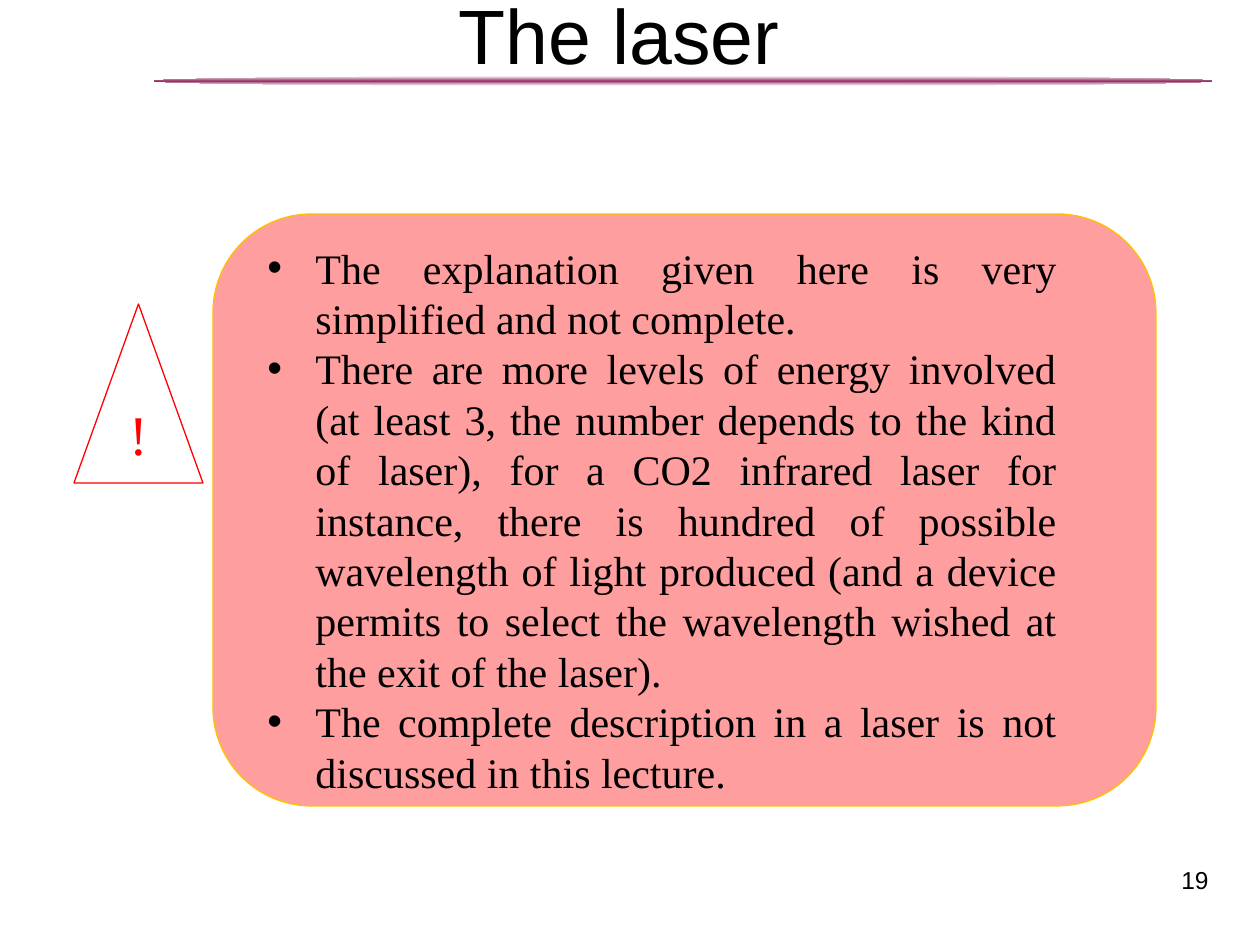
from lxml import etree
from pptx import Presentation, util as u
from pptx.dml.color import RGBColor
from pptx.enum import shapes, text
from pptx.oxml import ns

PX_PER_INCH = 126
BLACK = RGBColor(0, 0, 0)
WHITE = RGBColor(255, 255, 255)
RED = RGBColor(255, 0, 0)
GOLD = RGBColor(255, 192, 0)
PLUM = RGBColor(0x99, 0x33, 0x66)

CAVEATS = [
    "The explanation given here is very simplified and not complete. ",
    "There are more levels of energy involved (at least 3, the number depends "
    "to the kind of laser), for a CO2 infrared laser for instance, there is "
    "hundred of possible wavelength of light produced (and a device permits to "
    "select the wavelength wished at the exit of the laser).",
    "The complete description in a laser is not discussed in this lecture. ",
]


def px(n):
    return u.Emu(round(n * u.Inches(1) / PX_PER_INCH))


def add_outline(slide, kind, box, line=None):
    """Add an unfilled preset shape without shadow."""
    shape = slide.shapes.add_shape(kind, *map(px, box))
    shape.shadow.inherit = False
    shape.fill.background()
    if line is None:
        shape.line.fill.background()
    else:
        shape.line.color.rgb = line
        shape.line.width = u.Pt(0.75)
    return shape


def add_text(slide, box, paragraphs, font, size, color, align, wrap=True):
    frame = slide.shapes.add_textbox(*map(px, box)).text_frame
    frame.word_wrap = wrap
    frame.text = "\n".join(paragraphs)
    for paragraph in frame.paragraphs:
        paragraph.alignment = align
        for run in paragraph.runs:
            run.font.name = font
            run.font.size = u.Pt(size)
            run.font.color.rgb = color
    return frame


def add_bullet(paragraph, indent):
    props = paragraph._p.get_or_add_pPr()
    props.set("marL", str(indent))
    props.set("indent", str(-indent))
    etree.SubElement(props, ns.qn("a:buFont")).set("typeface", "Arial")
    etree.SubElement(props, ns.qn("a:buChar")).set("char", "•")


def header(slide, left, top, width, height):
    rule = add_outline(slide, shapes.MSO_SHAPE.OVAL,
                       (left + 154, top + 102, width - 76, 10))
    rule.fill.gradient()
    rule.fill.gradient_angle = 90
    stops = rule.fill._fill._gradFill.gsLst
    for stop in list(stops):
        stops.remove(stop)
    for position, color in ((0, WHITE), (50, PLUM), (100, WHITE)):
        stop = etree.SubElement(stops, ns.qn("a:gs"), pos=str(position * 1000))
        etree.SubElement(stop, ns.qn("a:srgbClr"), val=str(color))
    title = add_text(slide, (left + 63, top, width, height), ["The laser "],
                     "Arial", 44, BLACK, text.PP_ALIGN.CENTER)
    title.margin_top = px(14)


def warning_sign(slide, left, top, width, height):
    add_outline(slide, shapes.MSO_SHAPE.ISOSCELES_TRIANGLE,
                (left, top, width, height), RED)
    add_text(slide, (left + 43, top + 89, 44, 81), ["!"],
             "Times New Roman", 32, RED, text.PP_ALIGN.LEFT, wrap=False)


def caveat_panel(slide, left, top, width, height):
    panel = add_outline(slide, shapes.MSO_SHAPE.ROUNDED_RECTANGLE,
                        (left, top, width, height), GOLD)
    panel.fill.solid()
    panel.fill.fore_color.rgb = RED
    red = panel.fill._xPr.find(".//" + ns.qn("a:srgbClr"))
    etree.SubElement(red, ns.qn("a:alpha"), val="38000")
    caveats = add_text(slide, (left + 42, top + 22, 814, height - 20), CAVEATS,
                       "Times New Roman", 24, BLACK, text.PP_ALIGN.JUSTIFY)
    for paragraph in caveats.paragraphs:
        paragraph.line_spacing = u.Pt(28.8)
        add_bullet(paragraph, px(48))


def page_number(slide, *box):
    number = add_text(slide, box, ["19"], "Arial", 14, BLACK,
                      text.PP_ALIGN.RIGHT)
    number.vertical_anchor = text.MSO_ANCHOR.TOP


def main():
    deck = Presentation()
    deck.slide_width, deck.slide_height = px(1260), px(945)
    slide = deck.slides.add_slide(deck.slide_layouts[6])
    header(slide, 0, -26, 1134, 157)
    caveat_panel(slide, 213, 214, 943, 592)
    warning_sign(slide, 74, 304, 129, 179)
    page_number(slide, 927, 859, 294, 57)
    deck.save("out.pptx")


if __name__ == "__main__":
    main()
